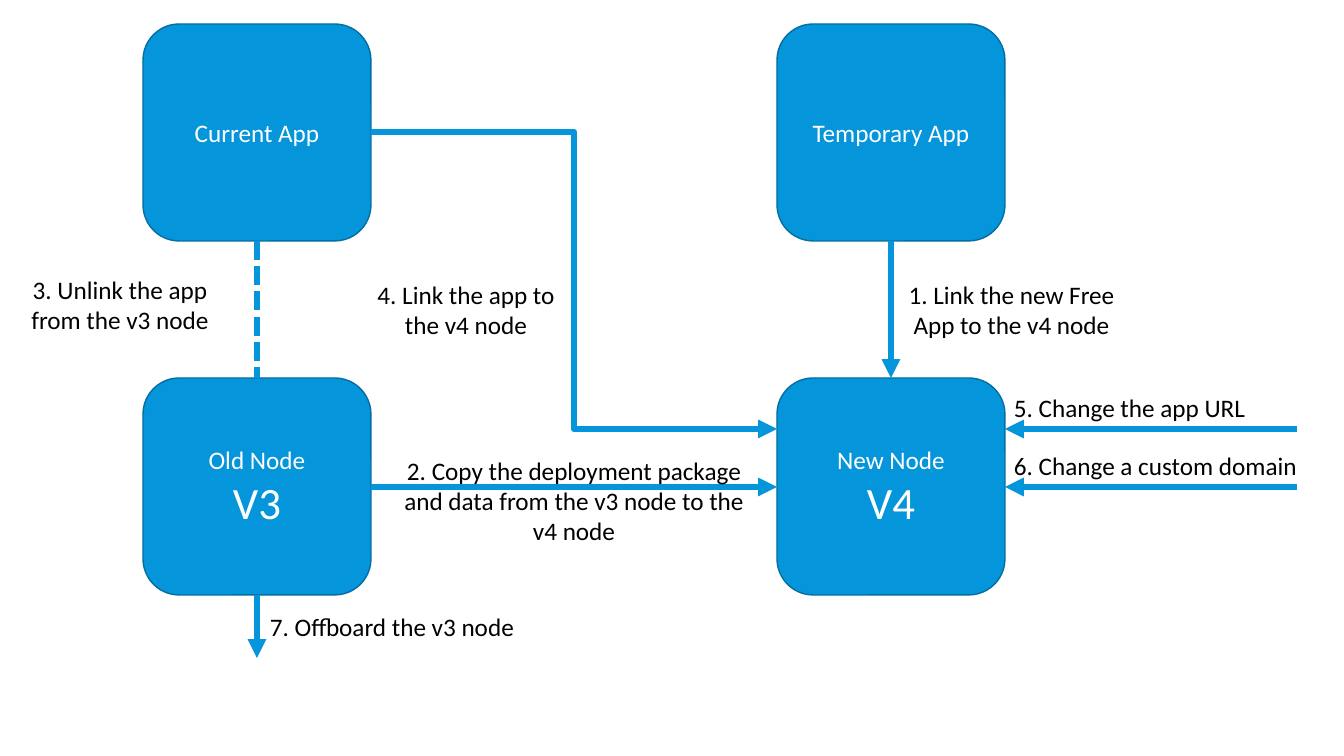
import pptx
import pptx.dml.color
import pptx.enum.dml
import pptx.enum.shapes
import pptx.enum.text
import pptx.oxml
import pptx.oxml.ns
import pptx.util

EMU_PER_PX = 914400 / 100.8
SLIDE_WIDTH, SLIDE_HEIGHT = 1344, 756
BOX_WIDTH, BOX_HEIGHT = 228, 217
OLD_LEFT, NEW_LEFT = 143, 777
APP_TOP, NODE_TOP = 24, 378

ALIGN = pptx.enum.text.PP_ALIGN
CONNECTOR = pptx.enum.shapes.MSO_CONNECTOR


def px(value):
    return pptx.util.Emu(round(value * EMU_PER_PX))


def color(hex_string):
    return pptx.dml.color.RGBColor.from_string(hex_string)


class Diagram:
    font = "Calibri"
    text_size = 18
    version_size = 32
    blue = "0595DB"
    outline = "046EA2"
    white = "FFFFFF"
    black = "000000"
    arrow_width = 4.5

    def __init__(self, slide):
        self.slide = slide

    def format_paragraph(self, paragraph, size, hex_string, alignment):
        paragraph.alignment = alignment
        for run in paragraph.runs:
            run.font.name = self.font
            run.font.size = pptx.util.Pt(size)
            run.font.color.rgb = color(hex_string)

    def box(self, left, top, name, version=None):
        """Draw a rounded box with a name and, for a node, its version below."""
        shape = self.slide.shapes.add_shape(
            pptx.enum.shapes.MSO_SHAPE.ROUNDED_RECTANGLE,
            px(left), px(top), px(BOX_WIDTH), px(BOX_HEIGHT))
        shape.shadow.inherit = False
        shape.fill.solid()
        shape.fill.fore_color.rgb = color(self.blue)
        shape.line.color.rgb = color(self.outline)
        shape.line.width = pptx.util.Pt(1)
        text_frame = shape.text_frame
        text_frame.vertical_anchor = pptx.enum.text.MSO_ANCHOR.MIDDLE
        text_frame.text = f"{name}\n{version}" if version else name
        for paragraph, size in zip(text_frame.paragraphs,
                                   (self.text_size, self.version_size)):
            self.format_paragraph(paragraph, size, self.white, ALIGN.CENTER)

    def connector(self, start, end, kind=CONNECTOR.STRAIGHT, dotted=False):
        """Draw an arrow, or a dotted line without a head."""
        connector = self.slide.shapes.add_connector(
            kind, *(px(value) for value in start + end))
        connector.line.color.rgb = color(self.blue)
        connector.line.width = pptx.util.Pt(self.arrow_width)
        if dotted:
            connector.line.dash_style = pptx.enum.dml.MSO_LINE.SQUARE_DOT
        else:
            head = pptx.oxml.parse_xml(
                f'<a:tailEnd {pptx.oxml.ns.nsdecls("a")} type="triangle"/>')
            connector.line._get_or_add_ln().append(head)
        connector._element.spPr.append(pptx.oxml.parse_xml(
            f'<a:effectLst {pptx.oxml.ns.nsdecls("a")}/>'))

    def label(self, left, top, width, height, text, alignment=ALIGN.CENTER):
        shape = self.slide.shapes.add_textbox(
            px(left), px(top), px(width), px(height))
        text_frame = shape.text_frame
        text_frame.word_wrap = True
        text_frame.auto_size = pptx.enum.text.MSO_AUTO_SIZE.SHAPE_TO_FIT_TEXT
        text_frame.text = text
        self.format_paragraph(text_frame.paragraphs[0], self.text_size,
                              self.black, alignment)


def main():
    presentation = pptx.Presentation()
    presentation.slide_width = px(SLIDE_WIDTH)
    presentation.slide_height = px(SLIDE_HEIGHT)
    blank_layout = presentation.slide_layouts[6]
    diagram = Diagram(presentation.slides.add_slide(blank_layout))

    diagram.box(OLD_LEFT, APP_TOP, "Current App")
    diagram.box(NEW_LEFT, APP_TOP, "Temporary App")
    diagram.box(OLD_LEFT, NODE_TOP, "Old Node", "V3")
    diagram.box(NEW_LEFT, NODE_TOP, "New Node", "V4")

    old_center = OLD_LEFT + BOX_WIDTH // 2
    new_center = NEW_LEFT + BOX_WIDTH // 2
    old_right = OLD_LEFT + BOX_WIDTH
    new_right = NEW_LEFT + BOX_WIDTH
    app_bottom = APP_TOP + BOX_HEIGHT
    node_bottom = NODE_TOP + BOX_HEIGHT
    app_middle = APP_TOP + BOX_HEIGHT // 2
    node_middle = NODE_TOP + BOX_HEIGHT // 2 + 1
    link_y = 429
    change_start = 1297

    diagram.connector((new_center, app_bottom), (new_center, NODE_TOP))
    diagram.connector((old_right, node_middle), (NEW_LEFT, node_middle))
    diagram.connector((old_right, app_middle), (NEW_LEFT, link_y),
                      kind=CONNECTOR.ELBOW)
    diagram.connector((old_center, app_bottom), (old_center, NODE_TOP),
                      dotted=True)
    for y in (link_y, node_middle):
        diagram.connector((change_start, y), (new_right, y))
    diagram.connector((old_center, node_bottom), (old_center, 658))

    diagram.label(new_center, 274, 241, 71,
                  "1. Link the new Free App to the v4 node")
    diagram.label(391, 450, 366, 102,
                  "2. Copy the deployment package and data "
                  "from the v3 node to the v4 node")
    diagram.label(12, 269, 216, 71, "3. Unlink the app from the v3 node")
    diagram.label(358, 274, 216, 71, "4. Link the app to the v4 node")
    diagram.label(1004, 387, 293, 40, "5. Change the app URL", ALIGN.LEFT)
    diagram.label(1004, 445, 306, 40, "6. Change a custom domain", ALIGN.LEFT)
    diagram.label(old_center, 606, 270, 40, "7. Offboard the v3 node")

    presentation.save("out.pptx")


if __name__ == "__main__":
    main()
